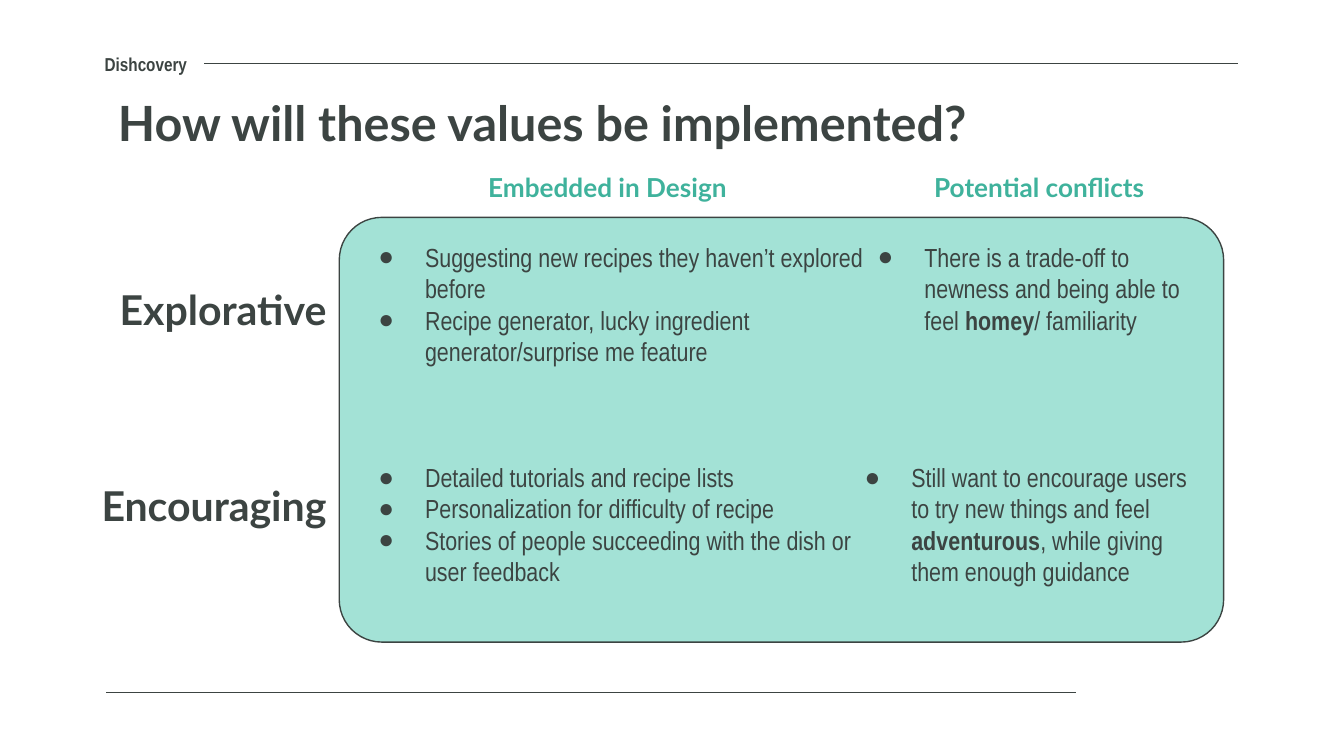
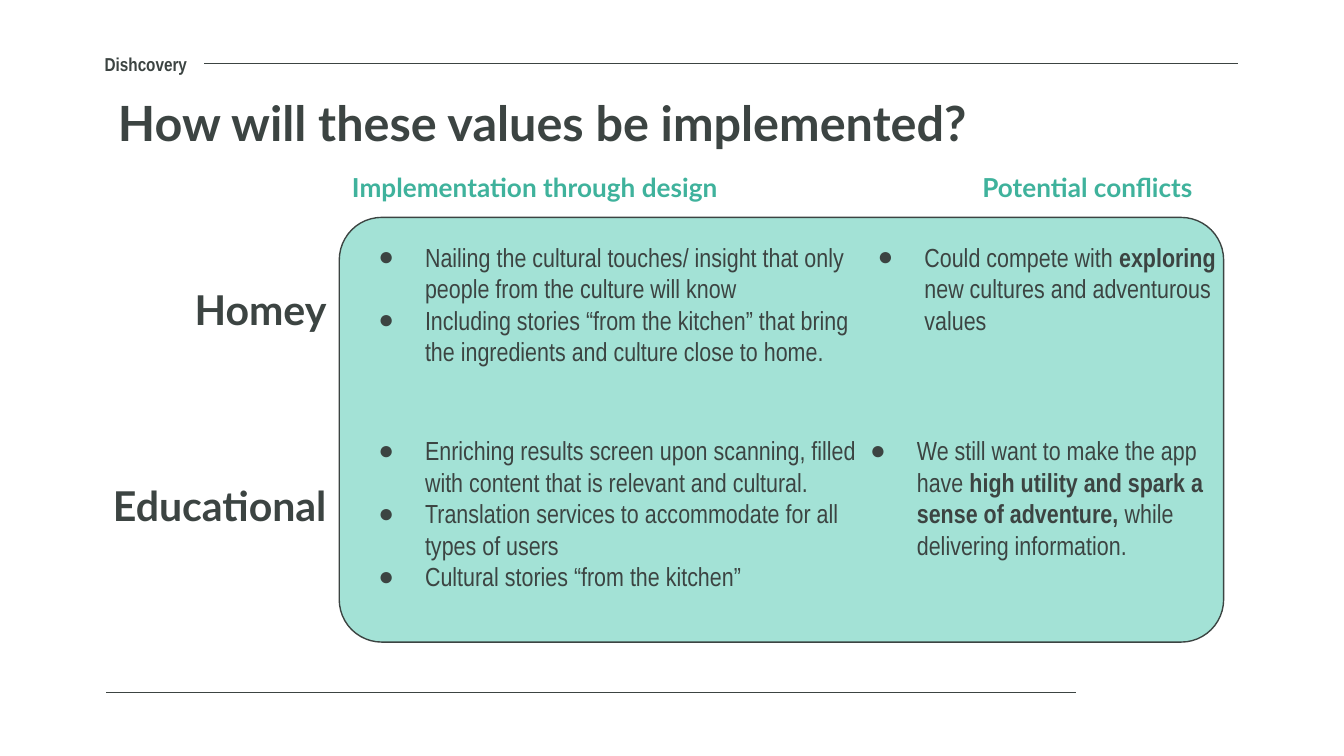
from lxml.etree import SubElement
from pptx import Presentation
from pptx.dml.color import RGBColor
from pptx.enum.shapes import MSO_CONNECTOR, MSO_SHAPE
from pptx.enum.text import MSO_ANCHOR, MSO_AUTO_SIZE, PP_ALIGN
from pptx.oxml.ns import qn
from pptx.util import Pt

INK, TEAL, MINT = "3C4442", "3FB29C", "A3E2D6"
HEADING_FONT, BODY_FONT = "Lato", "Arial Narrow"
COMPARISON_LAYOUT = 4  # a title and four body placeholders
LIST_LEFT, LIST_WIDTH, LIST_HEIGHT = 184.5, 288, 94.5
CONFLICT_WIDTH, CONFLICT_HEIGHT = 208, 53.5
UPPER_TOP = 122

SLIDES = [
    {
        "headings": [("Embedded in Design", PP_ALIGN.CENTER),
                     ("Potential conflicts", PP_ALIGN.CENTER)],
        "values": ["Explorative", "Encouraging"],
        "designs": [
            ["Suggesting new recipes they haven’t explored before",
             "Recipe generator, lucky ingredient generator/surprise me feature"],
            ["Detailed tutorials and recipe lists",
             "Personalization for difficulty of recipe",
             "Stories of people succeeding with the dish or user feedback"],
        ],
        "conflicts": [
            "There is a trade-off to newness and being able to feel **homey**/ familiarity",
            "Still want to encourage users to try new things and feel **adventurous**, "
            "while giving them enough guidance",
        ],
        "conflict_lefts": [452, 445],
        "lower_top": 240,
    },
    {
        "headings": [("Implementation through design", PP_ALIGN.LEFT),
                     ("Potential conflicts", PP_ALIGN.RIGHT)],
        "values": ["Homey", "Educational"],
        "designs": [
            ["Nailing the cultural touches/ insight that only people from the culture will know",
             "Including stories “from the kitchen” that bring the ingredients "
             "and culture close to home."],
            ["Enriching results screen upon scanning, filled with content that is "
             "relevant and cultural.",
             "Translation services to accommodate for all types of users",
             "Cultural stories “from the kitchen”"],
        ],
        "conflicts": [
            "Could compete with **exploring** new cultures and adventurous values",
            "We still want to make the app have **high utility and spark a sense of "
            "adventure,** while delivering information.",
        ],
        "conflict_lefts": [452, 448],
        "lower_top": 225.75,
    },
]


def color(hex_code):
    return RGBColor.from_string(hex_code)


def place(shape, left, top, width, height):
    shape.left, shape.top = Pt(left), Pt(top)
    shape.width, shape.height = Pt(width), Pt(height)


def add_bullet(paragraph):
    properties = paragraph._p.get_or_add_pPr()
    properties.set("marL", str(Pt(36)))
    properties.set("indent", str(-Pt(25)))
    tint = SubElement(properties, qn("a:buClr"))
    SubElement(tint, qn("a:srgbClr"), val=INK)
    SubElement(properties, qn("a:buChar"), char="●")


def write(shape, *lines, size, font=HEADING_FONT, ink=INK, bold=True,
          align=PP_ALIGN.LEFT, anchor=MSO_ANCHOR.TOP, bullets=False):
    """Fill a shape with one paragraph per line; **marked** parts become bold."""
    frame = shape.text_frame
    frame.word_wrap = True
    frame.auto_size = MSO_AUTO_SIZE.NONE
    frame.vertical_anchor = anchor
    frame.margin_left = frame.margin_right = Pt(7.2)
    frame.margin_top = frame.margin_bottom = Pt(7.2)
    for index, line in enumerate(lines):
        paragraph = frame.add_paragraph() if index else frame.paragraphs[0]
        if bullets:
            add_bullet(paragraph)
        paragraph.alignment = align
        paragraph.space_before = Pt(0)
        for part, words in enumerate(line.split("**")):
            run = paragraph.add_run()
            run.text = words
            run.font.name = font
            run.font.size = Pt(size)
            run.font.bold = bold or part % 2 == 1
            run.font.color.rgb = color(ink)


def add_label(slide, text, box, **text_format):
    label = slide.shapes.add_textbox(*map(Pt, box))
    write(label, text, **text_format)


def fill_list(placeholder, lines, box):
    place(placeholder, *box)
    write(placeholder, *lines, size=14, font=BODY_FONT, bold=False, bullets=True)


def add_rule(slide, left, right, y):
    rule = slide.shapes.add_connector(
        MSO_CONNECTOR.STRAIGHT, Pt(left), Pt(y), Pt(right), Pt(y))
    rule.line.color.rgb = color(INK)
    rule.line.width = Pt(0.75)
    SubElement(rule._element.spPr, qn("a:effectLst"))


def add_panel(slide):
    """Add the rounded panel behind the lists."""
    panel = slide.shapes.add_shape(
        MSO_SHAPE.ROUNDED_RECTANGLE, Pt(181.75), Pt(116.5), Pt(473.75), Pt(227.5))
    panel.adjustments[0] = 0.1
    panel.shadow.inherit = False
    panel.fill.solid()
    panel.fill.fore_color.rgb = color(MINT)
    panel.line.color.rgb = color(INK)
    panel.line.width = Pt(0.75)
    slide.shapes.title.element.addnext(panel.element)


def add_frame(slide):
    """Add what every slide shares: title, project name, rules and panel."""
    title = slide.shapes.title
    place(title, 56, 42.5, 608, 36.5)
    write(title, "How will these values be implemented?", size=26)
    add_label(slide, "Dishcovery", (49, 25.5, 62.5, 18),
              size=10, font=BODY_FONT, anchor=MSO_ANCHOR.MIDDLE)
    add_rule(slide, 109.5, 663, 34)
    add_rule(slide, 57, 576.5, 371)
    add_panel(slide)


def add_values_slide(deck, content):
    slide = deck.slides.add_slide(deck.slide_layouts[COMPARISON_LAYOUT])
    add_frame(slide)
    columns = [(181.5, 288), (467.5, 178.5)]
    for (heading, align), (left, width) in zip(content["headings"], columns):
        add_label(slide, heading, (left, 84.5, width, 31.5), size=14, ink=TEAL,
                  align=align, anchor=MSO_ANCHOR.MIDDLE)

    list_tops = [UPPER_TOP, content["lower_top"]]
    value_tops = [145, 250]
    for row, (value, design, conflict) in enumerate(
            zip(content["values"], content["designs"], content["conflicts"])):
        add_label(slide, value, (6.5, value_tops[row], 175.5, 29),
                  size=22, align=PP_ALIGN.RIGHT)
        top = list_tops[row]
        fill_list(slide.placeholders[2 * row + 1], design,
                  (LIST_LEFT, top, LIST_WIDTH, LIST_HEIGHT))
        fill_list(slide.placeholders[2 * row + 2], [conflict],
                  (content["conflict_lefts"][row], top, CONFLICT_WIDTH, CONFLICT_HEIGHT))


def main():
    deck = Presentation()
    deck.slide_width, deck.slide_height = Pt(720), Pt(405)
    for content in SLIDES:
        add_values_slide(deck, content)
    deck.save("out.pptx")


if __name__ == "__main__":
    main()
